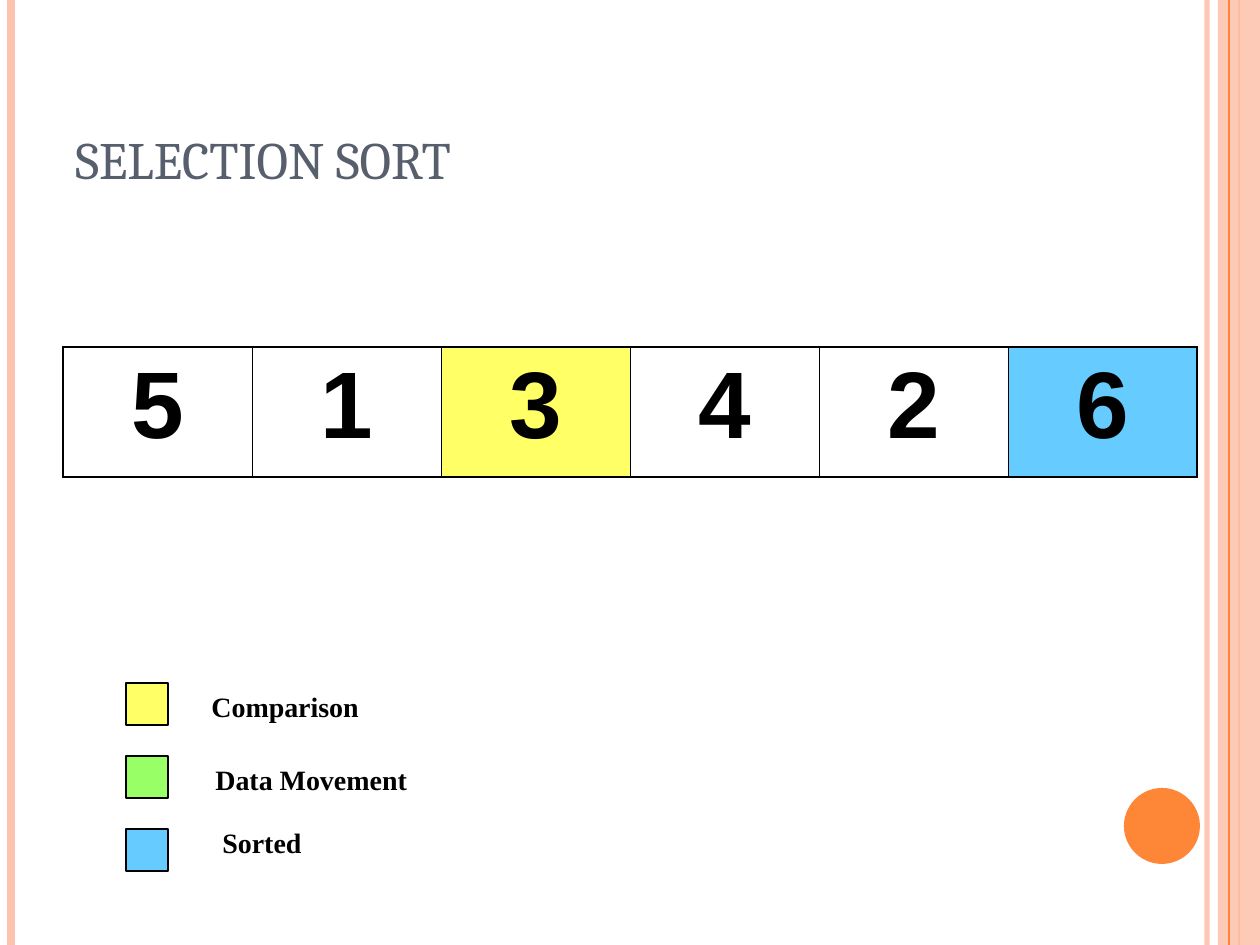
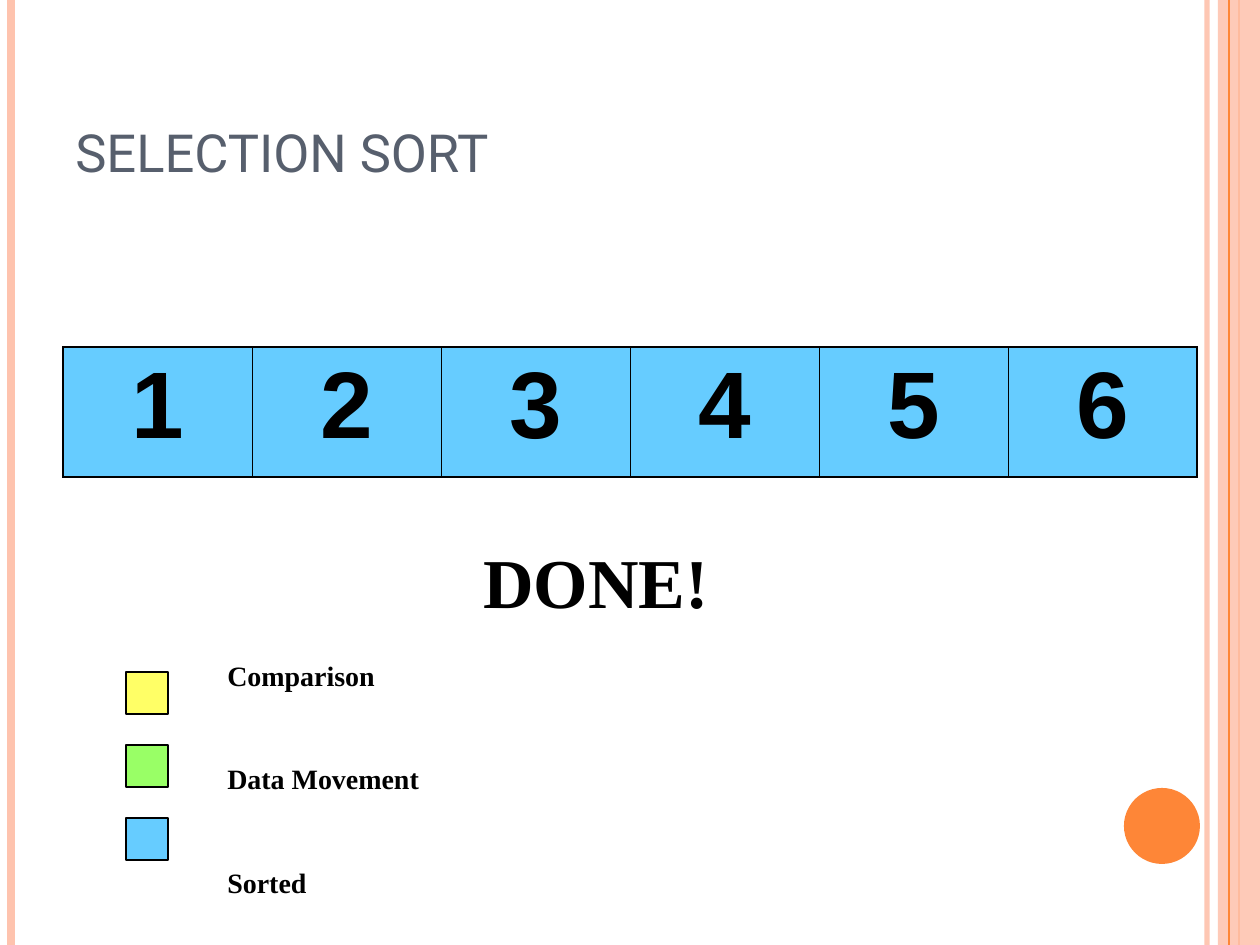
import pptx
import pptx.dml.color
import pptx.enum.shapes
import pptx.enum.text
import pptx.oxml.ns
import pptx.util
from lxml import etree

RGB = pptx.dml.color.RGBColor
SHAPE = pptx.enum.shapes.MSO_SHAPE
ANCHOR = pptx.enum.text.MSO_ANCHOR
qn = pptx.oxml.ns.qn

PEACH = RGB(0xFE, 0xC3, 0xAE)
ORANGE = RGB(0xFE, 0x86, 0x37)
SLATE = RGB(0x57, 0x5F, 0x6D)
BLACK = RGB(0, 0, 0)
COMPARED = RGB(0xFF, 0xFF, 0x66)
MOVED = RGB(0x99, 0xFF, 0x66)
SORTED = RGB(0x66, 0xCC, 0xFF)

SERIF = "Times New Roman"
PX = 914400 / 126
SLIDE_W, SLIDE_H = 1260, 945
CELL_W, CELL_H = 189, 130
SWATCH, SWATCH_STEP = 42, 73


def px(*lengths):
    return [round(length * PX) for length in lengths]


def add_text(slide, box, paragraphs, font, size, color, bold=True, gap=0, anchor=ANCHOR.TOP):
    frame = slide.shapes.add_textbox(*px(*box)).text_frame
    frame.word_wrap = True
    frame.vertical_anchor = anchor
    for index, wording in enumerate(paragraphs):
        paragraph = frame.add_paragraph() if index else frame.paragraphs[0]
        if index:
            paragraph.space_before = pptx.util.Pt(gap)
        run = paragraph.add_run()
        run.text = wording
        run.font.name = font
        run.font.size = pptx.util.Pt(size)
        run.font.bold = bold
        run.font.color.rgb = color


# Each step: title top and font, array values, cell colours, swatch top,
# then text blocks as (box, paragraphs, size, gap)
steps = [
    (38, "Cambria", "513426", {2: COMPARED, 5: SORTED}, 683, [
        ((199, 683, 336, 48), ["Comparison"], 16, 0),
        ((203, 756, 273, 48), ["Data Movement"], 16, 0),
        ((210, 819, 273, 48), ["Sorted"], 16, 0),
    ]),
    (31, "Roboto", "123456", dict.fromkeys(range(6), SORTED), 672, [
        ((215, 652, 240, 250), ["Comparison", "Data Movement", "Sorted"], 16, 40),
        ((471, 532, 252, 97), ["DONE!"], 40, 0),
    ]),
]

# Page decoration, back to front: x, width, colour, weight in points, opacity
stripes = [
    (1207, 0, PEACH, 3, 93),
    (11, 0, PEACH, 4.5, 100),
    (1239, 0, ORANGE, 1.5, 100),
    (1218, 42, PEACH, 0, 87),
    (1229, 0, ORANGE, 0.75, 100),
]

deck = pptx.Presentation()
deck.slide_width, deck.slide_height = px(SLIDE_W, SLIDE_H)

for title_top, title_font, values, cell_colors, legend_top, texts in steps:
    slide = deck.slides.add_slide(deck.slide_layouts[6])

    # Side stripes
    for x, width, color, weight, opacity in stripes:
        if width:
            stripe = slide.shapes.add_shape(SHAPE.RECTANGLE, *px(x, 0, width, SLIDE_H))
            stripe.shadow.inherit = False
            stripe.fill.solid()
            stripe.fill.fore_color.rgb = color
            stripe.line.fill.background()
        else:
            stripe = slide.shapes.add_connector(
                pptx.enum.shapes.MSO_CONNECTOR.STRAIGHT, *px(x, 0, x, SLIDE_H))
            stripe.line.color.rgb = color
            stripe.line.width = pptx.util.Pt(weight)
            etree.SubElement(stripe._element.spPr, qn("a:effectLst"))
        if opacity < 100:
            tint = next(stripe._element.spPr.iter(qn("a:srgbClr")))
            etree.SubElement(tint, qn("a:alpha"), val=str(opacity * 1000))

    # Page disc
    disc = slide.shapes.add_shape(SHAPE.OVAL, *px(1124, 788, 76, 76))
    disc.shadow.inherit = False
    disc.fill.solid()
    disc.fill.fore_color.rgb = ORANGE
    disc.line.fill.background()

    # Title
    add_text(slide, (63, title_top, 1134, 158), ["SELECTION SORT"], title_font, 30, SLATE,
             bold=False, anchor=ANCHOR.BOTTOM)

    # Array being sorted
    array = slide.shapes.add_table(
        1, len(values), *px(63, 347, CELL_W * len(values), CELL_H)).table
    array.first_row = False
    array.horz_banding = False
    for index, value in enumerate(values):
        cell = array.cell(0, index)
        if index in cell_colors:
            cell.fill.solid()
            cell.fill.fore_color.rgb = cell_colors[index]
        else:
            cell.fill.background()
        paragraph = cell.text_frame.paragraphs[0]
        paragraph.alignment = pptx.enum.text.PP_ALIGN.CENTER
        run = paragraph.add_run()
        run.text = value
        run.font.name = "Arial"
        run.font.size = pptx.util.Pt(54)
        run.font.bold = True
        run.font.color.rgb = BLACK

        # Heavy outer edge, thin dividers
        left = 1.08 if index == 0 else 0.45
        right = 1.08 if index == len(values) - 1 else 0.45
        edges = [("L", left), ("R", right), ("T", 1.08), ("B", 1.08)]
        properties = cell._tc.get_or_add_tcPr()
        for position, (side, weight) in enumerate(edges):
            edge = etree.Element(qn(f"a:ln{side}"), w=str(pptx.util.Pt(weight)))
            ink = etree.SubElement(edge, qn("a:solidFill"))
            etree.SubElement(ink, qn("a:srgbClr"), val=str(BLACK))
            properties.insert(position, edge)

    # Legend swatches
    for row, color in enumerate([COMPARED, MOVED, SORTED]):
        swatch = slide.shapes.add_shape(
            SHAPE.RECTANGLE, *px(126, legend_top + row * SWATCH_STEP, SWATCH, SWATCH))
        swatch.shadow.inherit = False
        swatch.fill.solid()
        swatch.fill.fore_color.rgb = color
        swatch.line.color.rgb = BLACK
        swatch.line.width = pptx.util.Pt(0.75)

    # Legend labels and closing word
    for box, paragraphs, size, gap in texts:
        add_text(slide, box, paragraphs, SERIF, size, BLACK, gap=gap)

deck.save("out.pptx")
